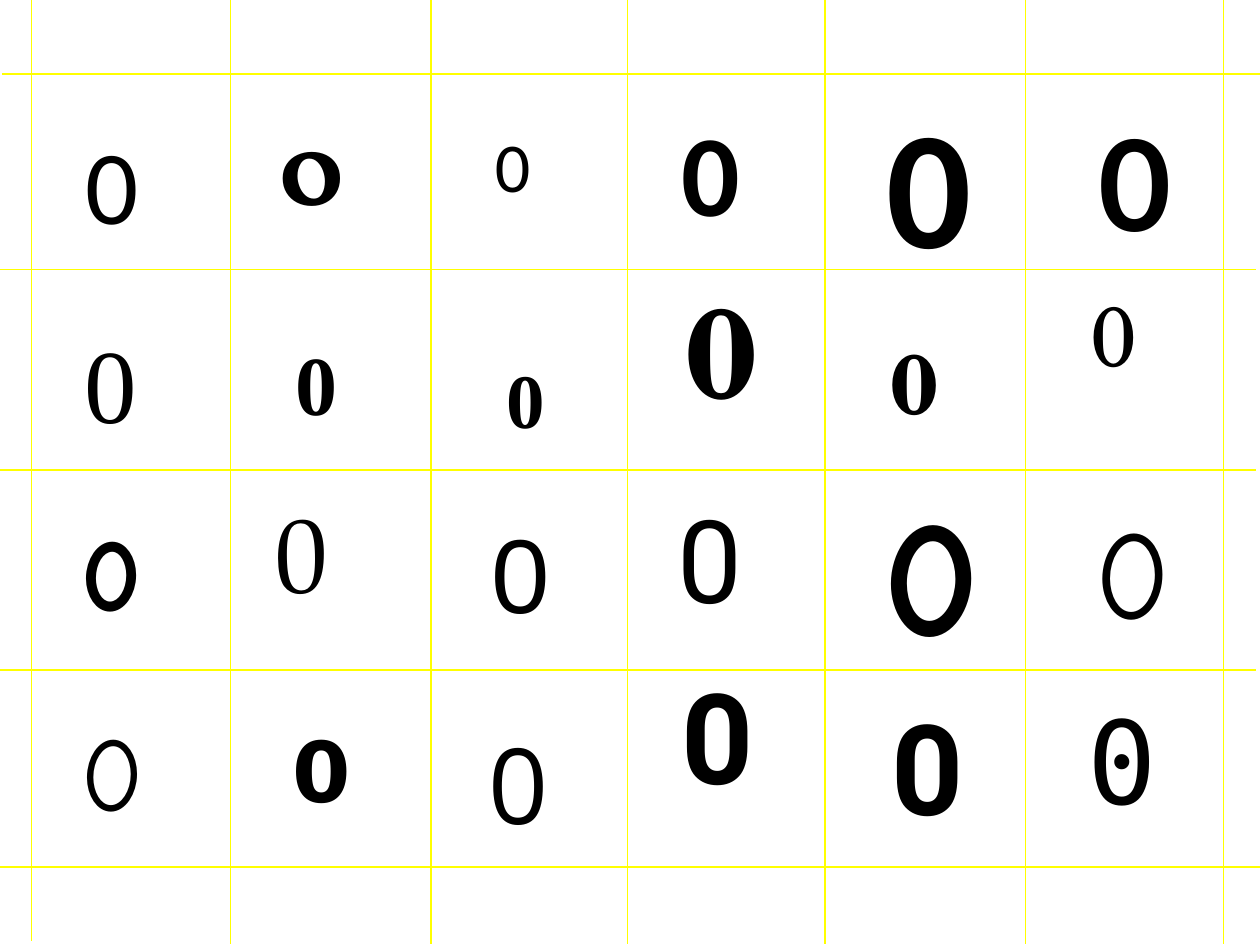
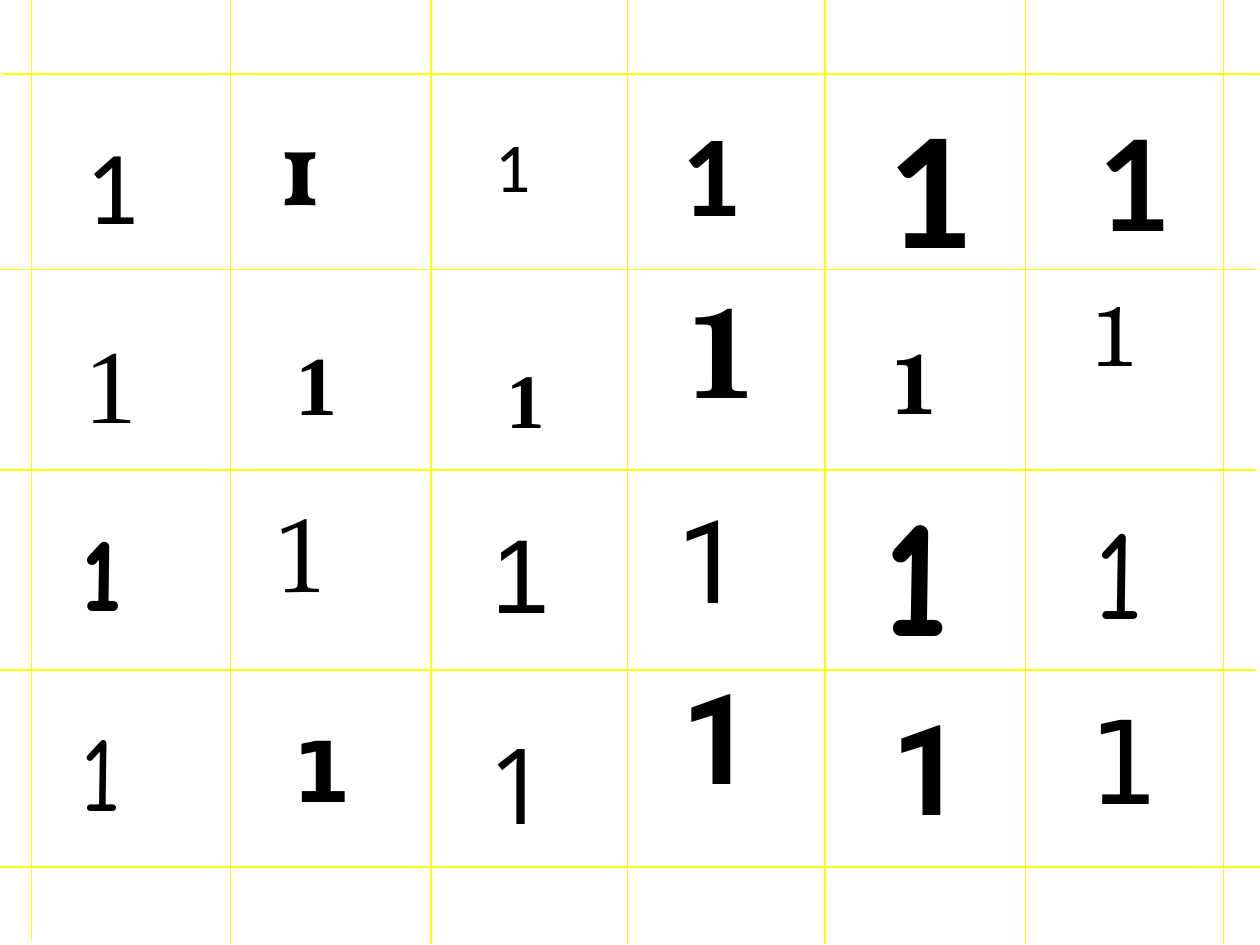
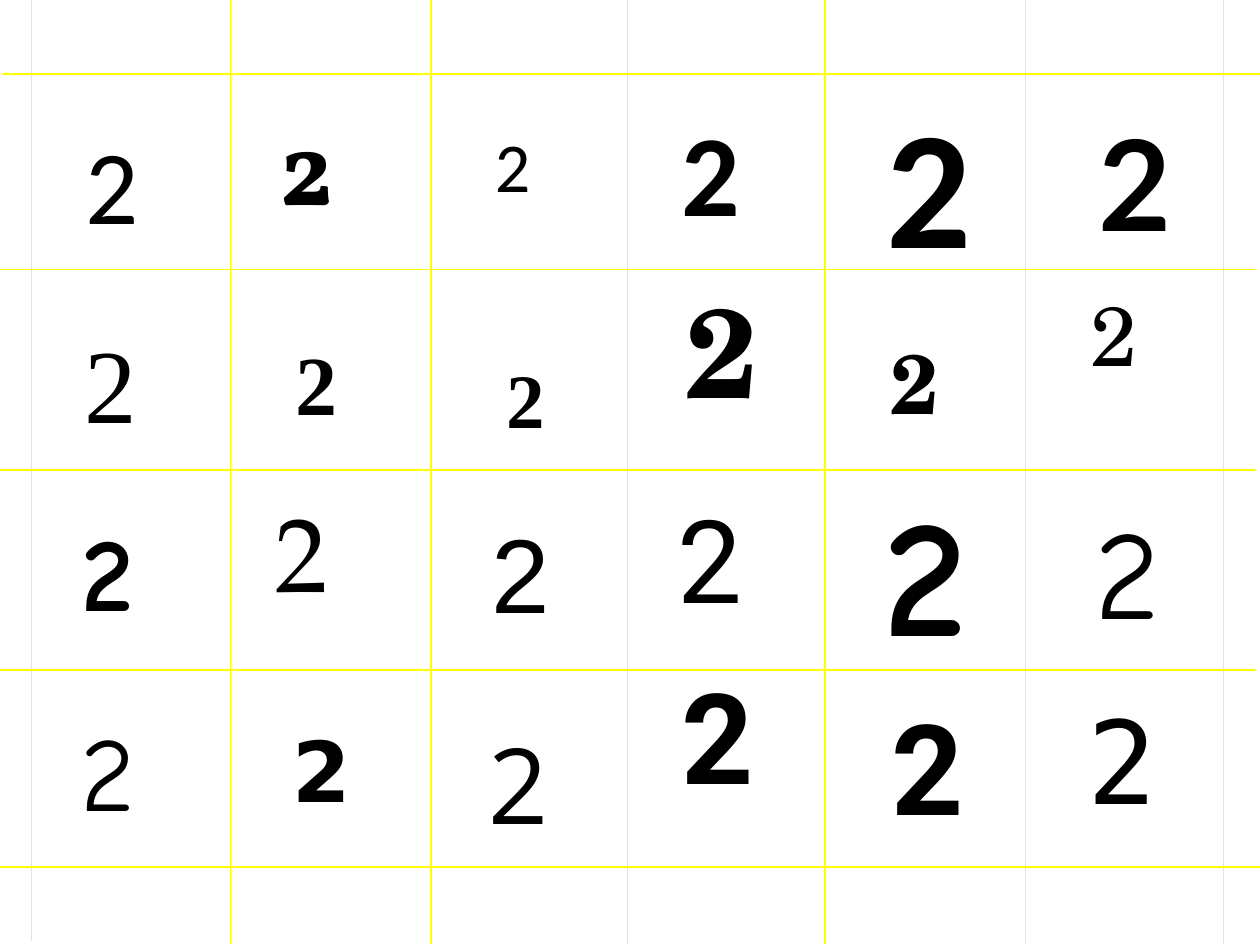
from pptx import Presentation
from pptx.dml.color import RGBColor
from pptx.enum.shapes import MSO_CONNECTOR as Connector
from pptx.enum.text import MSO_AUTO_SIZE as AutoSize
from pptx.oxml.ns import qn
from pptx.util import Inches, Pt
from lxml.etree import SubElement

COLORS = {"digit": "000000", "grid": "FFFF00", "page": "FFFFFF"}
WIDTH, HEIGHT = 10, 7.5
DIGITS = "012"

# Grid edges in inches, each with the shift of its full-length line
COLUMNS = [(0.25, -0.03), (1.83, -0.01), (3.42, -0.01), (4.98, -0.01),
           (6.55, -0.01), (8.14, -0.01), (9.71, -0.01)]
ROWS = [(0.59, 0.02), (2.14, -0.03), (3.73, -0.03), (5.32, -0.03), (6.88, 0)]

# One sample per cell: font, points, bold, offset from the cell's corner
SAMPLES = [
    [("Calibri", 60, False, 0.33, 0.31),
     ("Vollkorn", 60, True, 0.29, 0.16),
     ("Calibri", 40, False, 0.41, 0.33),
     ("Calibri", 66, True, 0.33, 0.16),
     ("Calibri", 96, True, 0.39, 0),
     ("Lato", 72, True, 0.48, 0.2)],
    [("Times New Roman", 60, False, 0.32, 0.34),
     ("Times New Roman", 48, True, 0.42, 0.44),
     ("Times New Roman", 44, True, 0.5, 0.6),
     ("TeX Gyre Schola", 72, True, 0.36, -0.03),
     ("TeX Gyre Schola", 48, True, 0.42, 0.43),
     ("TeX Gyre Schola", 48, False, 0.42, 0.05)],
    [("Comic Neue", 60, True, 0.3, 0.24),
     ("TeX Gyre Pagella", 60, False, 0.26, 0.09),
     ("Arial", 60, False, 0.38, 0.26),
     ("Roboto", 66, False, 0.3, 0.09),
     ("Comic Neue", 96, True, 0.36, -0.06),
     ("Comic Neue", 72, False, 0.45, 0.14)],
    [("Comic Neue", 60, False, 0.29, 0.24),
     ("DejaVu Sans", 48, True, 0.39, 0.33),
     ("Open Sans", 60, False, 0.36, 0.34),
     ("Roboto", 72, True, 0.33, -0.14),
     ("Roboto", 72, True, 0.43, 0.1),
     ("DejaVu Sans Mono", 66, False, 0.39, 0.1)],
]


def rgb(role):
    return RGBColor.from_string(COLORS[role])


def add_grid_line(slide, x1, y1, x2, y2):
    rule = slide.shapes.add_connector(
        Connector.STRAIGHT, Inches(x1), Inches(y1), Inches(x2), Inches(y2))
    rule.line.color.rgb = rgb("grid")
    rule.line.width = Pt(1)
    SubElement(rule._element.spPr, qn("a:effectLst"))


def add_grid(slide):
    for x, shift in COLUMNS:
        add_grid_line(slide, x, shift, x, HEIGHT + shift)
    for y, shift in ROWS:
        add_grid_line(slide, shift, y, WIDTH + shift, y)


def add_sample(slide, digit, cell_x, cell_y, sample):
    font_name, size, bold, dx, dy = sample
    box_width = 0.93 if font_name == "Open Sans" else 0.79
    box_height = size * 1.2 / 72 + 0.11
    box = slide.shapes.add_textbox(Inches(cell_x + dx), Inches(cell_y + dy),
                                   Inches(box_width), Inches(box_height))
    frame = box.text_frame
    frame.word_wrap = True
    frame.auto_size = AutoSize.SHAPE_TO_FIT_TEXT
    run = frame.paragraphs[0].add_run()
    run.text = digit
    run.font.name = font_name
    run.font.size = Pt(size)
    run.font.bold = bold
    run.font.color.rgb = rgb("digit")


def add_sample_rows(slide, digit, first, last):
    for (y, _), row in zip(ROWS[first:last], SAMPLES[first:last]):
        for (x, _), sample in zip(COLUMNS, row):
            add_sample(slide, digit, x, y, sample)


def add_digit_slide(deck, digit):
    slide = deck.slides.add_slide(deck.slide_layouts[6])
    slide.background.fill.solid()
    slide.background.fill.fore_color.rgb = rgb("page")
    # The grid lies over the upper samples and under the lower ones
    add_sample_rows(slide, digit, 0, 2)
    add_grid(slide)
    add_sample_rows(slide, digit, 2, 4)


deck = Presentation()
deck.slide_width, deck.slide_height = Inches(WIDTH), Inches(HEIGHT)
for digit in DIGITS:
    add_digit_slide(deck, digit)
deck.save("out.pptx")
